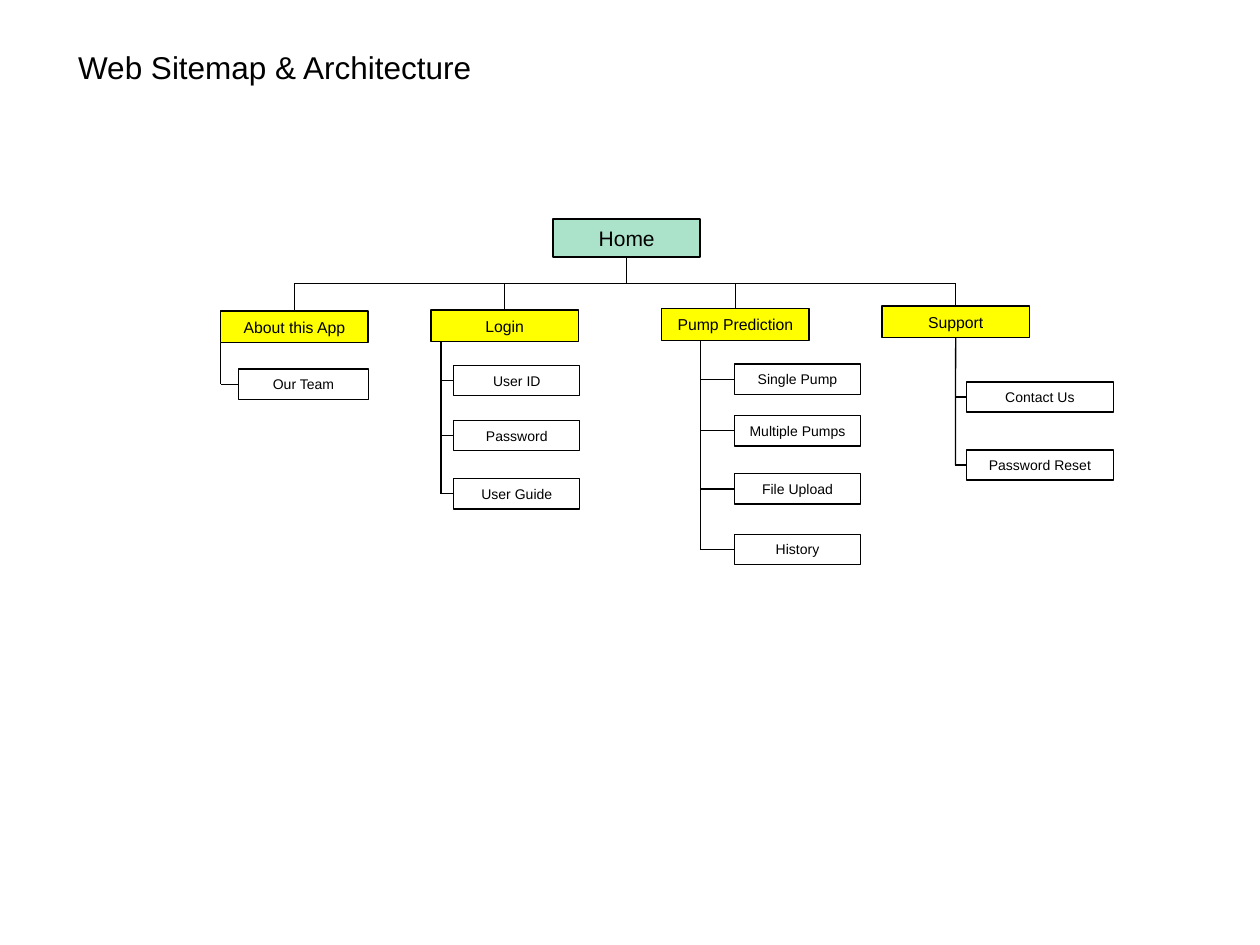
from collections import namedtuple

from lxml.etree import SubElement
from pptx import Presentation
from pptx.dml.color import RGBColor
from pptx.enum.shapes import MSO_CONNECTOR, MSO_SHAPE
from pptx.enum.text import MSO_ANCHOR, PP_ALIGN
from pptx.oxml.ns import qn
from pptx.util import Cm, Pt

BLACK = RGBColor(0x00, 0x00, 0x00)
MINT = RGBColor(0xAA, 0xE2, 0xCA)
YELLOW = RGBColor(0xFF, 0xFF, 0x00)
FONT = "Arial"
TOP, LEFT, BOTTOM = 0, 1, 2

SECTION_WIDTH, SECTION_HEIGHT = Cm(2.97), Cm(0.64)
PAGE_HEIGHT = Cm(0.61)
BUS_Y = Cm(5.72)

Box = namedtuple("Box", "left top width height")
# trunk, indent and the page offsets (cm) are measured from the section's corner
Section = namedtuple("Section", "label left top trunk indent page_width pages")

SECTIONS = [
    Section("About this App", 4.45, 6.27, 0, 0.36, 2.62, {"Our Team": 1.17}),
    Section("Login", 8.69, 6.25, 0.2, 0.46, 2.54,
            {"User ID": 1.12, "Password": 2.23, "User Guide": 3.4}),
    Section("Pump Prediction", 13.34, 6.22, 0.78, 1.47, 2.54,
            {"Single Pump": 1.12, "Multiple Pumps": 2.16,
             "File Upload": 3.33, "History": 4.55}),
    Section("Support", 17.78, 6.17, 1.48, 1.7, 2.97,
            {"Contact Us": 1.53, "Password Reset": 2.9}),
]


def write(frame, text, size):
    frame.vertical_anchor = MSO_ANCHOR.MIDDLE
    paragraph = frame.paragraphs[0]
    paragraph.alignment = PP_ALIGN.CENTER
    run = paragraph.add_run()
    run.text = text
    run.font.name = FONT
    run.font.size = Pt(size)
    run.font.color.rgb = BLACK


def add_node(slide, box, label, size, fill=None, line_width=0.75):
    node = slide.shapes.add_shape(MSO_SHAPE.RECTANGLE, *box)
    node.shadow.inherit = False
    if fill is None:
        node.fill.background()
    else:
        node.fill.solid()
        node.fill.fore_color.rgb = fill
    node.line.color.rgb = BLACK
    node.line.width = Pt(line_width)
    node.text_frame.word_wrap = True
    write(node.text_frame, label, size)
    return node


def add_link(slide, x1, y1, x2, y2):
    link = slide.shapes.add_connector(MSO_CONNECTOR.STRAIGHT, x1, y1, x2, y2)
    link.line.color.rgb = BLACK
    link.line.width = Pt(0.75)
    SubElement(link._element.spPr, qn("a:effectLst"))
    return link


def middle_x(node):
    return node.left + node.width // 2


def middle_y(node):
    return node.top + node.height // 2


def add_title(slide, box):
    title = slide.shapes.title
    title.left, title.top, title.width, title.height = box
    title.text_frame.word_wrap = False
    write(title.text_frame, "Web Sitemap & Architecture", 18)


def add_home(slide, box):
    home = add_node(slide, box, "Home", 12, MINT, line_width=1)
    x = middle_x(home)
    stem = add_link(slide, x, home.top + home.height, x, BUS_Y)
    stem.begin_connect(home, BOTTOM)
    return home


def add_section(slide, box, section):
    """Draw a section, its drop from the bus and the pages hanging below it."""
    head = add_node(slide, box, section.label, 9, YELLOW)
    drop = add_link(slide, middle_x(head), BUS_Y, middle_x(head), box.top)
    drop.end_connect(head, TOP)

    trunk_x = box.left + Cm(section.trunk)
    for label, offset in section.pages.items():
        page_box = Box(box.left + Cm(section.indent), box.top + Cm(offset),
                       Cm(section.page_width), PAGE_HEIGHT)
        page = add_node(slide, page_box, label, 8)
        branch = add_link(slide, trunk_x, middle_y(page), page.left, middle_y(page))
        branch.end_connect(page, LEFT)
    trunk = add_link(slide, trunk_x, box.top + box.height, trunk_x, middle_y(page))
    if abs(trunk_x - middle_x(head)) < Cm(0.02):
        trunk.begin_connect(head, BOTTOM)
    return head


def main():
    deck = Presentation()
    deck.slide_width, deck.slide_height = Cm(25.4), Cm(19.05)
    slide = deck.slides.add_slide(deck.slide_layouts[5])
    add_title(slide, Box(Cm(1.3), Cm(0.84), Cm(8.48), Cm(1.02)))
    home = add_home(slide, Box(Cm(11.15), Cm(4.42), Cm(2.97), Cm(0.76)))
    heads = [
        add_section(slide, Box(Cm(section.left), Cm(section.top),
                               SECTION_WIDTH, SECTION_HEIGHT), section)
        for section in SECTIONS
    ]
    for outer in (heads[0], heads[-1]):
        add_link(slide, middle_x(home), BUS_Y, middle_x(outer), BUS_Y)
    deck.save("out.pptx")


if __name__ == "__main__":
    main()
